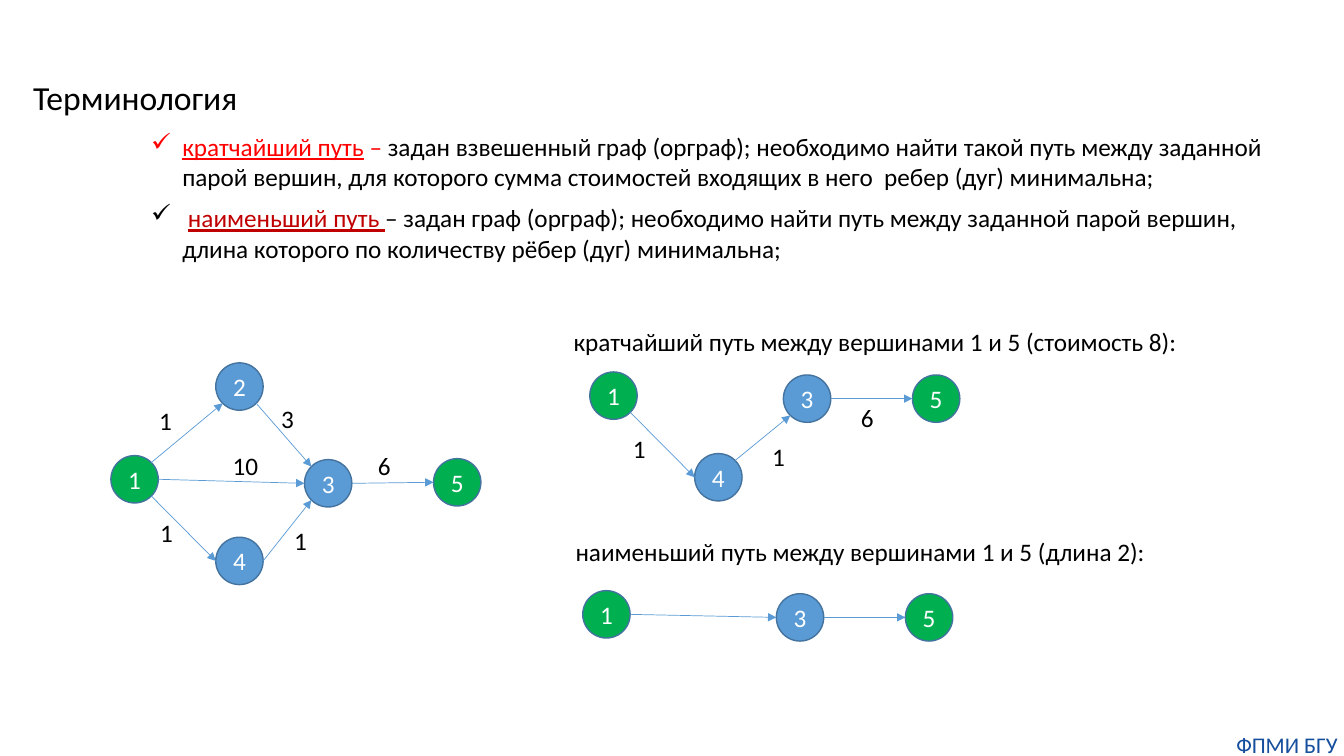
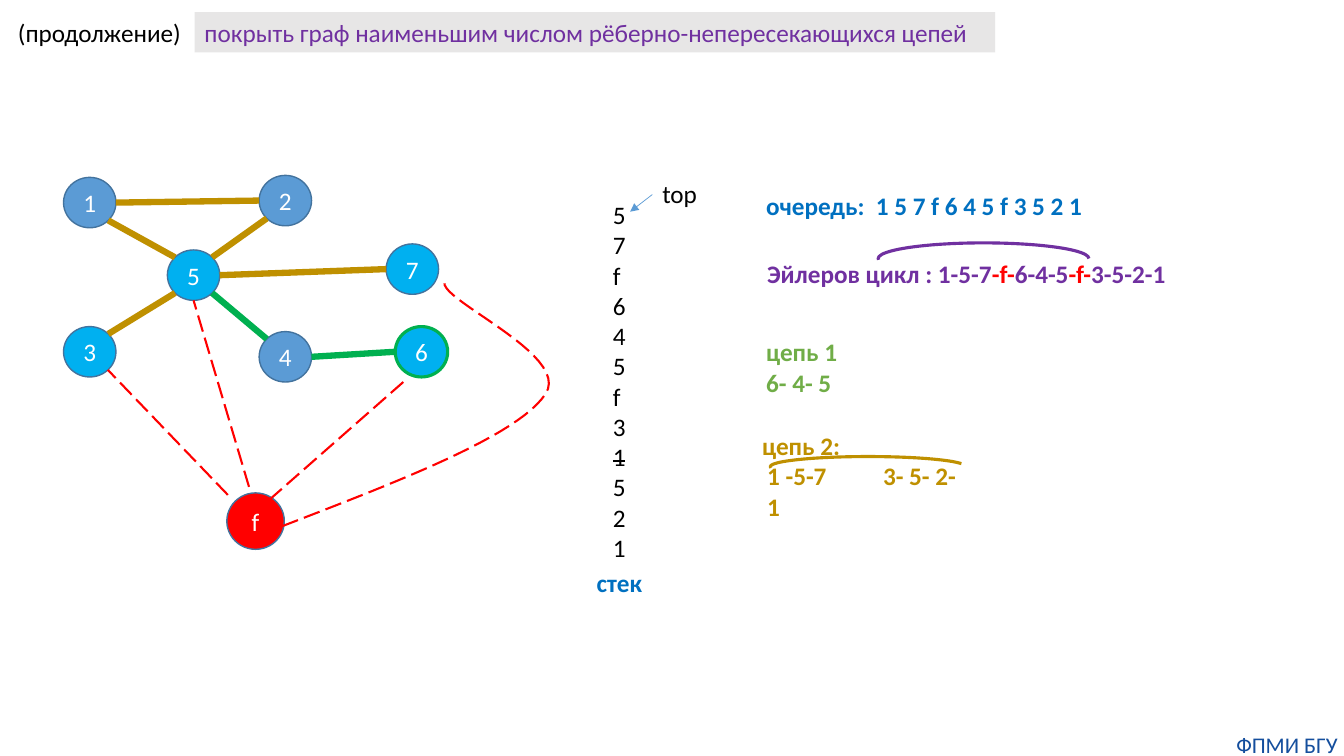
import math
from dataclasses import dataclass
from enum import IntEnum
from typing import Optional

from lxml import etree
from pptx import Presentation
from pptx.dml.color import RGBColor
from pptx.enum import dml, shapes, text
from pptx.oxml.ns import qn
from pptx.util import Inches, Pt

FONT = "Calibri"
BLACK = RGBColor(0x00, 0x00, 0x00)
WHITE = RGBColor(0xFF, 0xFF, 0xFF)
RED = RGBColor(0xFF, 0x00, 0x00)
DARK_RED = RGBColor(0xC0, 0x00, 0x00)
GREEN = RGBColor(0x00, 0xB0, 0x50)
LEAF = RGBColor(0x70, 0xAD, 0x47)
BLUE = RGBColor(0x5B, 0x9B, 0xD5)
OUTLINE = RGBColor(0x43, 0x73, 0x9E)
CYAN = RGBColor(0x00, 0xB0, 0xF0)
STRONG_BLUE = RGBColor(0x00, 0x70, 0xC0)
NAVY = RGBColor(0x14, 0x4E, 0x9D)
GOLD = RGBColor(0xBF, 0x90, 0x00)
PURPLE = RGBColor(0x70, 0x30, 0xA0)
GREY = RGBColor(0xE7, 0xE6, 0xE6)

Point = tuple[float, float]


class Site(IntEnum):
    TOP = 0
    TOP_LEFT = 1
    LEFT = 2
    BOTTOM_LEFT = 3
    BOTTOM = 4
    BOTTOM_RIGHT = 5
    RIGHT = 6
    TOP_RIGHT = 7


@dataclass(frozen=True)
class Span:
    text: str
    color: RGBColor = BLACK
    bold: bool = False
    underline: bool = False
    strike: bool = False
    size: float = 18


@dataclass(frozen=True)
class Pen:
    color: RGBColor
    width: float
    arrow: bool = False
    dash: Optional[dml.MSO_LINE] = None


@dataclass(frozen=True)
class Node:
    label: str
    left: float
    top: float
    fill: RGBColor = BLUE
    width: float = 0.47
    height: float = 0.47
    border: Pen = Pen(OUTLINE, 1)

    def site(self, site: Site) -> Point:
        angle = math.radians(90 + 45 * site)
        return (self.left + self.width / 2 * (1 + math.cos(angle)),
                self.top + self.height / 2 * (1 - math.sin(angle)))


@dataclass(frozen=True)
class Edge:
    start: str
    start_site: Site
    end: str
    end_site: Site
    pen: Pen


@dataclass(frozen=True)
class Label:
    left: float
    top: float
    width: float
    spans: tuple[Span, ...]


ARROW = Pen(BLUE, 0.5, arrow=True)
GOLD_EDGE = Pen(GOLD, 4.5)
GREEN_EDGE = Pen(GREEN, 4.5)
DASHED = Pen(RED, 1.5, dash=dml.MSO_LINE.LONG_DASH)


def apply_pen(line, pen: Pen) -> None:
    line.color.rgb = pen.color
    line.width = Pt(pen.width)
    if pen.dash is not None:
        line.dash_style = pen.dash


def write_paragraph(para, spans) -> None:
    for span in spans:
        run = para.add_run()
        run.text = span.text
        run.font.name = FONT
        run.font.size = Pt(span.size)
        run.font.color.rgb = span.color
        run.font.bold = span.bold
        run.font.underline = span.underline
        if span.strike:
            run.font._element.set("strike", "sngStrike")


def fill_frame(frame, paragraphs) -> list:
    paras = []
    for index, spans in enumerate(paragraphs):
        para = frame.add_paragraph() if index else frame.paragraphs[0]
        write_paragraph(para, spans)
        paras.append(para)
    return paras


def add_text(page, left: float, top: float, width: float, height: float,
             paragraphs, wrap: bool = False):
    box = page.shapes.add_textbox(Inches(left), Inches(top), Inches(width), Inches(height))
    frame = box.text_frame
    frame.word_wrap = wrap
    frame.auto_size = text.MSO_AUTO_SIZE.SHAPE_TO_FIT_TEXT
    fill_frame(frame, paragraphs)
    return box


def add_label(page, label: Label) -> None:
    add_text(page, label.left, label.top, label.width, 0.4, [label.spans])


def add_footer(page) -> None:
    frame = add_text(page, 12.2, 7.25, 1.13, 0.27,
                     [[Span("ФПМИ БГУ", NAVY, size=16)]], wrap=True).text_frame
    frame.margin_left = frame.margin_right = frame.margin_top = frame.margin_bottom = 0
    frame.paragraphs[0].alignment = text.PP_ALIGN.CENTER


def add_preset(page, kind, left: float, top: float, width: float, height: float,
               fill: Optional[RGBColor], pen: Optional[Pen]):
    shape = page.shapes.add_shape(kind, Inches(left), Inches(top), Inches(width), Inches(height))
    shape.shadow.inherit = False
    if fill is None:
        shape.fill.background()
    else:
        shape.fill.solid()
        shape.fill.fore_color.rgb = fill
    if pen is None:
        shape.line.fill.background()
    else:
        apply_pen(shape.line, pen)
    return shape


def add_node(page, node: Node):
    shape = add_preset(page, shapes.MSO_SHAPE.OVAL, node.left, node.top,
                       node.width, node.height, node.fill, node.border)
    frame = shape.text_frame
    frame.vertical_anchor = text.MSO_ANCHOR.MIDDLE
    para, = fill_frame(frame, [[Span(node.label, WHITE)]])
    para.alignment = text.PP_ALIGN.CENTER
    return shape


def add_line(page, start: Point, end: Point, pen: Pen):
    line = page.shapes.add_connector(shapes.MSO_CONNECTOR.STRAIGHT,
                                     *(Inches(value) for value in (*start, *end)))
    apply_pen(line.line, pen)
    properties = line._element.spPr
    if pen.arrow:
        etree.SubElement(properties.find(qn("a:ln")), qn("a:tailEnd"), type="triangle")
    etree.SubElement(properties, qn("a:effectLst"))
    return line


def add_graph(page, nodes: list[Node], edges: list[Edge]) -> None:
    by_label = {node.label: (node, add_node(page, node)) for node in nodes}
    for edge in edges:
        start, start_shape = by_label[edge.start]
        end, end_shape = by_label[edge.end]
        line = add_line(page, start.site(edge.start_site), end.site(edge.end_site), edge.pen)
        joints = line._element.find(".//" + qn("p:cNvCxnSpPr"))
        for tag, shape, site in (("a:stCxn", start_shape, edge.start_site),
                                 ("a:endCxn", end_shape, edge.end_site)):
            etree.SubElement(joints, qn(tag), id=str(shape.shape_id), idx=str(int(site)))


def add_arc(page, left: float, top: float, width: float, height: float,
            end_angle: float, color: RGBColor) -> None:
    arc = add_preset(page, shapes.MSO_SHAPE.ARC, left, top, width, height, None, Pen(color, 2.25))
    arc.adjustments[0] = 107.57
    arc.adjustments[1] = end_angle * 0.6


def add_curve(page, start: Point, segments, pen: Pen, steps: int = 24) -> None:
    points, origin = [], start
    for first, second, end in segments:
        for step in range(1, steps + 1):
            t = step / steps
            weights = ((1 - t) ** 3, 3 * t * (1 - t) ** 2, 3 * t * t * (1 - t), t ** 3)
            points.append(tuple(
                Inches(sum(w * p[axis] for w, p in zip(weights, (origin, first, second, end))))
                for axis in (0, 1)))
        origin = end
    builder = page.shapes.build_freeform(Inches(start[0]), Inches(start[1]), scale=1.0)
    builder.add_line_segments(points, close=False)
    curve = builder.convert_to_shape()
    curve.shadow.inherit = False
    curve.fill.background()
    apply_pen(curve.line, pen)


def build_terms(page) -> None:
    terms = add_text(page, 1.4, 1.25, 11.57, 1.42, [
        [Span("кратчайший путь", RED, underline=True), Span(" – ", RED),
         Span("задан взвешенный граф (орграф); необходимо найти такой путь между заданной "
              "парой вершин, для которого сумма стоимостей входящих в него  ребер (дуг) минимальна;")],
        [Span(" "), Span("наименьший путь ", DARK_RED, underline=True),
         Span("– задан граф (орграф); необходимо найти путь между заданной парой вершин, "
              "длина которого по количеству рёбер (дуг) минимальна;")],
    ], wrap=True)
    for para in terms.text_frame.paragraphs:
        properties = para._p.get_or_add_pPr()
        properties.set("marL", str(Inches(0.31)))
        properties.set("indent", str(-Inches(0.31)))
        etree.SubElement(properties, qn("a:buChar"), char="✓")
        para.space_after = Pt(8)
    add_footer(page)
    add_text(page, 0.23, 0.71, 2.25, 0.5, [[Span("Терминология", size=24)]])

    from_1_to_4 = Edge("1", Site.BOTTOM_RIGHT, "4", Site.LEFT, ARROW)
    from_1_to_3 = Edge("1", Site.RIGHT, "3", Site.LEFT, ARROW)
    from_3_to_5 = Edge("3", Site.RIGHT, "5", Site.LEFT, ARROW)
    add_graph(page, [Node("1", 1.1, 4.52, GREEN), Node("4", 2.14, 5.33), Node("3", 3.02, 4.56),
                     Node("2", 2.14, 3.6), Node("5", 4.3, 4.55, GREEN)],
              [Edge("1", Site.TOP_RIGHT, "2", Site.BOTTOM_LEFT, ARROW), from_1_to_3,
               Edge("2", Site.BOTTOM_RIGHT, "3", Site.TOP_LEFT, ARROW), from_3_to_5, from_1_to_4,
               Edge("4", Site.RIGHT, "3", Site.BOTTOM_LEFT, ARROW)])
    add_graph(page, [Node("1", 5.85, 3.69, GREEN), Node("4", 6.89, 4.5),
                     Node("3", 7.77, 3.72), Node("5", 9.05, 3.72, GREEN)],
              [from_3_to_5, from_1_to_4,
               Edge("4", Site.TOP_RIGHT, "3", Site.BOTTOM_LEFT, ARROW)])
    add_graph(page, [Node("1", 5.78, 5.86, GREEN), Node("3", 7.7, 5.89),
                     Node("5", 8.98, 5.89, GREEN)], [from_1_to_3, from_3_to_5])

    for left, top, width, caption in (
            (2.21, 4.42, 0.46, "10"), (3.65, 4.42, 0.33, "6"), (1.48, 3.97, 0.33, "1"),
            (2.69, 3.95, 0.33, "3"), (1.49, 5.08, 0.33, "1"), (2.82, 5.16, 0.33, "1"),
            (7.56, 4.33, 0.33, "1"), (6.18, 4.25, 0.33, "1"), (8.44, 3.94, 0.33, "6"),
            (5.59, 3.19, 6.26, "кратчайший путь между вершинами 1 и 5 (стоимость 8):"),
            (5.61, 5.27, 6.1, "наименьший путь между вершинами 1 и 5 (длина 2):")):
        add_label(page, Label(left, top, width, (Span(caption),)))


def build_chains(page) -> None:
    size = {"width": 0.52, "height": 0.5}
    add_graph(page, [
        Node("1", 0.63, 1.76, **size), Node("5", 1.66, 2.48, CYAN, **size),
        Node("3", 0.63, 3.24, CYAN, **size), Node("4", 2.57, 3.29, **size),
        Node("2", 2.57, 1.74, **size), Node("7", 3.83, 2.42, CYAN, **size),
        Node("6", 3.92, 3.24, CYAN, border=Pen(GREEN, 2.25), **size),
        Node("f", 2.25, 4.89, RED, 0.57, 0.56),
    ], [
        Edge("1", Site.BOTTOM_RIGHT, "5", Site.TOP_LEFT, GOLD_EDGE),
        Edge("2", Site.BOTTOM_LEFT, "5", Site.TOP_RIGHT, GOLD_EDGE),
        Edge("1", Site.RIGHT, "2", Site.LEFT, GOLD_EDGE),
        Edge("5", Site.BOTTOM_LEFT, "3", Site.TOP_RIGHT, GOLD_EDGE),
        Edge("5", Site.BOTTOM_RIGHT, "4", Site.TOP_LEFT, GREEN_EDGE),
        Edge("4", Site.RIGHT, "6", Site.LEFT, GREEN_EDGE),
        Edge("5", Site.RIGHT, "7", Site.LEFT, GOLD_EDGE),
    ])
    for start, end in (((2.26, 4.91), (1.07, 3.67)), ((2.47, 4.83), (1.92, 2.98)),
                       ((2.67, 4.96), (4, 3.79))):
        add_line(page, start, end, DASHED)
    add_curve(page, (2.8, 5.22), [((3.97, 4.77), (5.14, 4.32), (5.41, 3.91)),
                                  ((5.68, 3.51), (4.26, 2.94), (4.42, 2.78))], DASHED)

    band = add_preset(page, shapes.MSO_SHAPE.RECTANGLE, 1.93, 0.12, 7.94, 0.4, GREY, None)
    band.text_frame.vertical_anchor = text.MSO_ANCHOR.TOP
    heading, = fill_frame(band.text_frame, [
        [Span("покрыть граф наименьшим числом рёберно-непересекающихся цепей", PURPLE)]])
    heading.alignment = text.PP_ALIGN.JUSTIFY
    add_footer(page)

    cycle = (("Эйлеров цикл : 1-5-7", PURPLE), ("-f-", RED), ("6-4-5", PURPLE),
             ("-f-", RED), ("3-5-2-1", PURPLE))
    for label in (
            Label(0.08, 0.12, 1.84, (Span("(продолжение)"),)),
            Label(5.82, 5.58, 0.65, (Span("стек", STRONG_BLUE, True),)),
            Label(6.47, 1.72, 0.55, (Span("top"),)),
            Label(7.5, 1.84, 3.38, (Span("очередь:  1 5 7 f 6 4 5 f 3 5 2 1", STRONG_BLUE, True),)),
            Label(7.51, 2.51, 4.21, tuple(Span(part, color, True) for part, color in cycle))):
        add_label(page, label)
    add_text(page, 5.98, 1.93, 0.33, 3.74,
             [[Span(item, strike=index == 8)] for index, item in enumerate("57f645f31521")])
    add_line(page, (6.47, 1.93), (6.25, 2.1), ARROW)
    add_arc(page, 8.71, 2.41, 2.09, 0.31, 0, PURPLE)
    add_text(page, 7.5, 3.29, 0.91, 0.71,
             [[Span(row, LEAF, True)] for row in ("цепь 1", "6- 4- 5")])
    chain = add_text(page, 7.46, 4.22, 2.29, 0.71,
                     [[Span(row, GOLD, True)] for row in ("цепь 2:", "1 -5-7\t3- 5- 2- 1")])
    properties = chain.text_frame.paragraphs[1]._p.get_or_add_pPr()
    properties.set("marL", str(Inches(0.05)))
    tabs = etree.SubElement(properties, qn("a:tabLst"))
    etree.SubElement(tabs, qn("a:tab"), pos=str(Inches(1.15)), algn="l")
    add_arc(page, 7.64, 4.53, 1.94, 0.2, 358.15, GOLD)


def main() -> None:
    deck = Presentation()
    deck.slide_width, deck.slide_height = Inches(13.33), Inches(7.5)
    for build in (build_terms, build_chains):
        build(deck.slides.add_slide(deck.slide_layouts[6]))
    deck.save("out.pptx")


if __name__ == "__main__":
    main()
